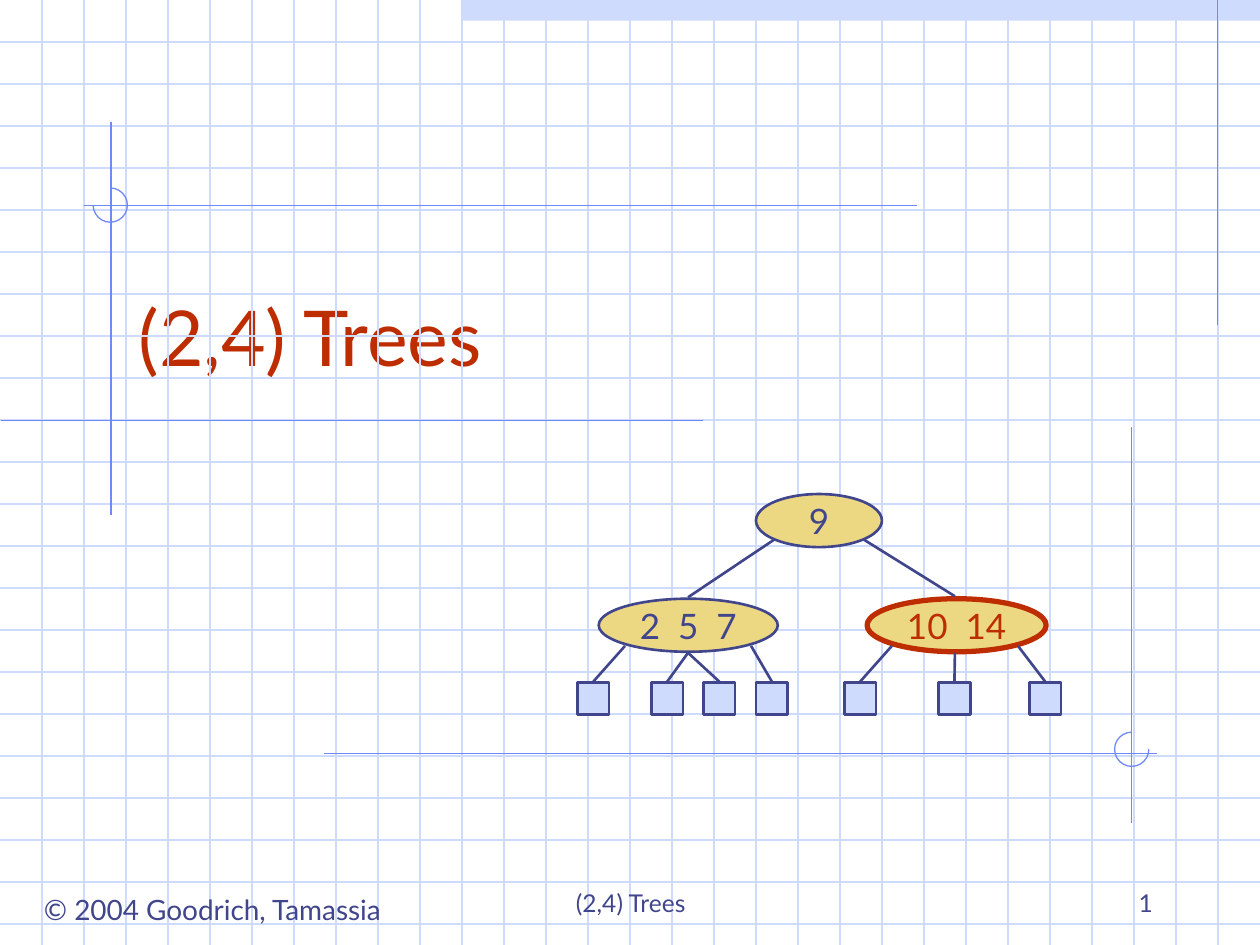
from lxml import etree
from pptx import Presentation
from pptx.dml.color import RGBColor
from pptx.enum import shapes as kinds, text as txt
from pptx.oxml import ns
from pptx.util import Cm, Pt

PALE = RGBColor(0xCF, 0xDB, 0xFD)
BLUE = RGBColor(0x6F, 0x89, 0xF7)
NAVY = RGBColor(0x40, 0x45, 0x8C)
RED = RGBColor(0xBE, 0x2D, 0x00)
GOLD = RGBColor(0xEC, 0xD8, 0x82)
FONT = "Lato"
WIDE, HIGH = 25.4, 19.05
STEP = WIDE / 30

deck = Presentation()
deck.slide_width, deck.slide_height = Cm(WIDE), Cm(HIGH)
slide = deck.slides.add_slide(deck.slide_layouts[5])
items = slide.shapes


def draw(x1, y1, x2, y2, color, width=0.75):
    """Add a straight line without a shadow."""
    line = items.add_connector(kinds.MSO_CONNECTOR.STRAIGHT,
                               Cm(x1), Cm(y1), Cm(x2), Cm(y2))
    line.line.color.rgb, line.line.width = color, Pt(width)
    etree.SubElement(line._element.spPr, ns.qn("a:effectLst"))


def place(kind, x, y, w, h, fill=None, edge=None, width=0.75):
    """Add a preset shape; no fill or edge colour means none is drawn."""
    shape = items.add_shape(kind, Cm(x), Cm(y), Cm(w), Cm(h))
    shape.shadow.inherit = False
    if fill:
        shape.fill.solid()
        shape.fill.fore_color.rgb = fill
    else:
        shape.fill.background()
    if edge:
        shape.line.color.rgb, shape.line.width = edge, Pt(width)
    else:
        shape.line.fill.background()
    return shape


# Squared paper
form = kinds.MSO_SHAPE
place(form.RECTANGLE, 9.31, 0, 16.09, 0.42, PALE)
for row in range(1, 23):
    draw(0, row * STEP, WIDE, row * STEP, PALE)
for col in range(1, 30):
    draw(col * STEP, 0, col * STEP, HIGH, PALE)

# Accent lines and three-quarter arcs
for ends in [(24.55, 0, 24.55, 6.56), (2.24, 2.46, 2.24, 10.39),
             (0.02, 8.48, 14.17, 8.48), (1.7, 4.14, 18.49, 4.14),
             (6.53, 15.19, 23.32, 15.19), (22.81, 8.61, 22.81, 16.59)]:
    draw(*ends, BLUE)
for x, y, start, stop in [(1.88, 3.79, 270, 180), (22.47, 14.76, 0, 270)]:
    arc = place(form.ARC, x, y, 0.69, 0.69, edge=BLUE)
    # Adjustments count 100000 units; angles count 60000 per degree
    arc.adjustments[0], arc.adjustments[1] = start * 0.6, stop * 0.6

# Title
title = items.title
title.left, title.top = Cm(2.54), Cm(4.65)
title.width, title.height = Cm(21.59), Cm(3.18)
title.text = "(2,4) Trees"
title.text_frame.vertical_anchor = txt.MSO_ANCHOR.BOTTOM
head = title.text_frame.paragraphs[0]
head.alignment = txt.PP_ALIGN.LEFT
head.font.name, head.font.size, head.font.color.rgb = FONT, Pt(44), RED

# Footer
for words, x, y, w, h, size, side, hold, wrap in [
        ("© 2004 Goodrich, Tamassia", 0.41, 17.86, 7.75, 0.94, 16,
         txt.PP_ALIGN.CENTER, txt.MSO_ANCHOR.TOP, False),
        ("(2,4) Trees", 8.69, 17.35, 8.05, 1.27, 14,
         txt.PP_ALIGN.CENTER, txt.MSO_ANCHOR.BOTTOM, True),
        ("1", 18.21, 17.35, 5.28, 1.27, 14,
         txt.PP_ALIGN.RIGHT, txt.MSO_ANCHOR.BOTTOM, True)]:
    frame = items.add_textbox(Cm(x), Cm(y), Cm(w), Cm(h)).text_frame
    frame.word_wrap, frame.vertical_anchor = wrap, hold
    para = frame.paragraphs[0]
    para.text, para.alignment = words, side
    para.font.name, para.font.size, para.font.color.rgb = FONT, Pt(size), NAVY

# Tree nodes
for words, x, y, w, ink, width in [("9", 15.24, 9.96, 2.54, NAVY, 1.5),
                                   ("10  14", 17.48, 12.07, 3.61, RED, 3),
                                   ("2  5  7", 12.07, 12.07, 3.61, NAVY, 1.5)]:
    node = place(form.OVAL, x, y, w, 1.07, GOLD, ink, width)
    frame = node.text_frame
    frame.word_wrap, frame.vertical_anchor = False, txt.MSO_ANCHOR.MIDDLE
    para = frame.paragraphs[0]
    para.text, para.alignment = words, txt.PP_ALIGN.CENTER
    para.font.name, para.font.size, para.font.color.rgb = FONT, Pt(20), ink

# Edges from the root, then leaves hung below each inner node
draw(13.87, 12.04, 15.62, 10.87, NAVY, 1.5)
draw(19.25, 12.02, 17.4, 10.87, NAVY, 1.5)
LEAF = 0.64
for mid, leaves in [(13.87, [(11.64, -1.27), (13.13, 0), (14.18, 0), (15.24, 1.27)]),
                    (19.25, [(17.02, -1.27), (18.92, 0), (20.75, 1.27)])]:
    for x, shift in leaves:
        place(form.RECTANGLE, x, 13.76, LEAF, LEAF, PALE, NAVY, 1.5)
        draw(x + LEAF / 2, 13.74, mid + shift, 13.02 if shift else 13.16, NAVY, 1.5)

deck.save("out.pptx")
